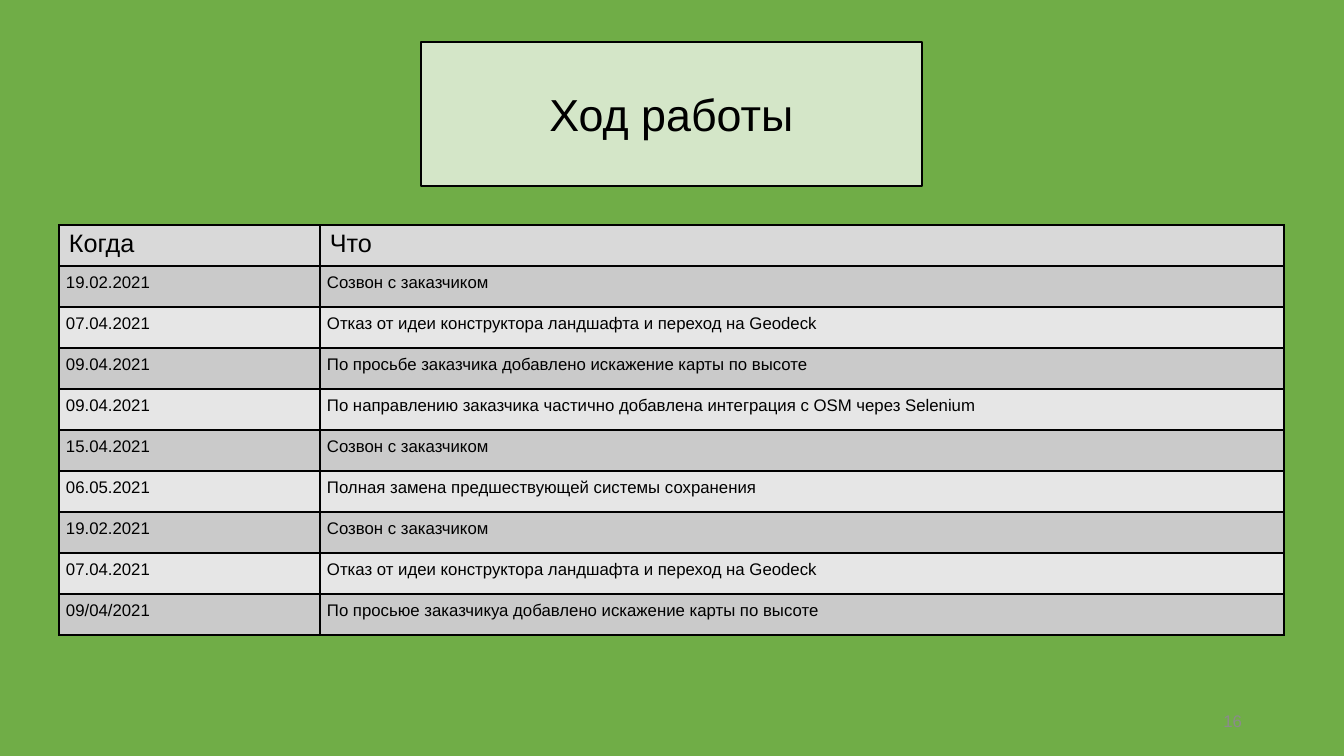
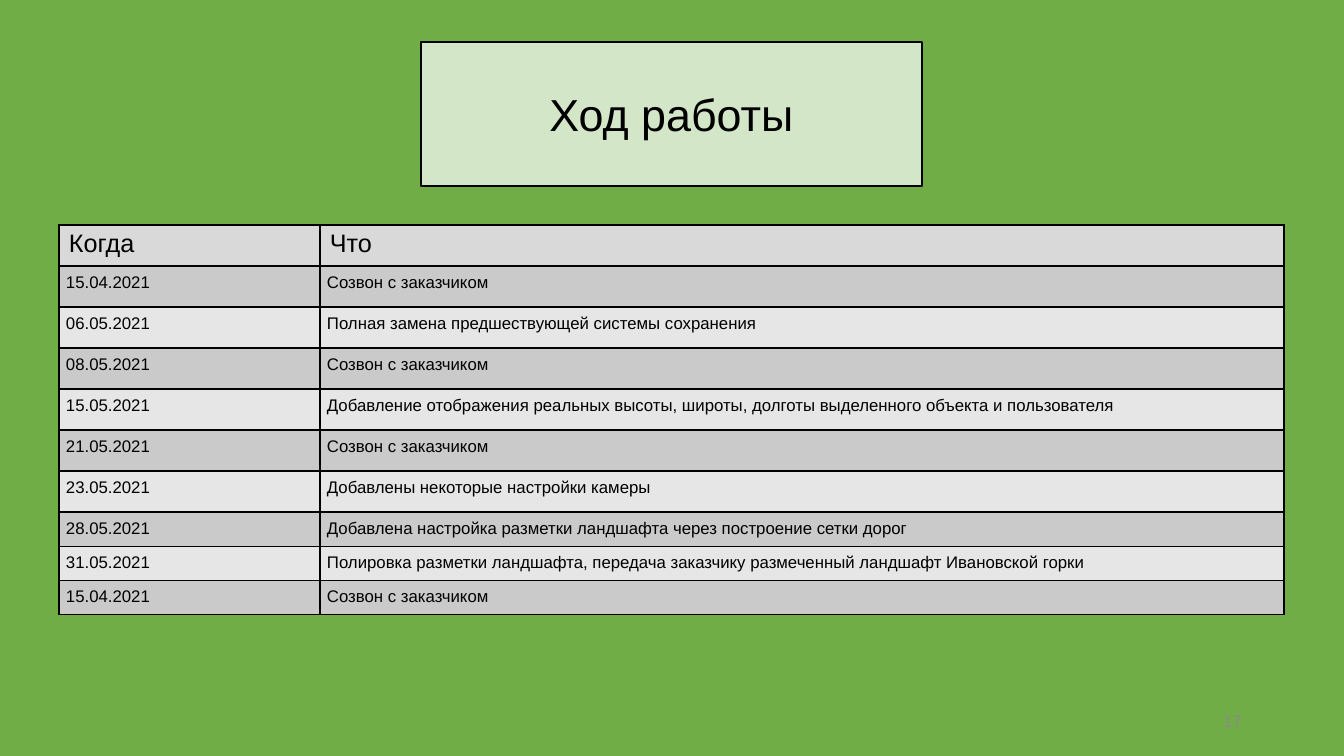
from dataclasses import dataclass
from typing import NamedTuple

from lxml import etree
from pptx import Presentation
from pptx.dml.color import RGBColor
from pptx.enum.shapes import MSO_SHAPE
from pptx.enum.text import MSO_ANCHOR, PP_ALIGN
from pptx.oxml.ns import qn
from pptx.util import Emu, Pt

RECTANGLE = MSO_SHAPE.RECTANGLE
MIDDLE = MSO_ANCHOR.MIDDLE
LEFT, CENTER, RIGHT, JUSTIFY = PP_ALIGN.LEFT, PP_ALIGN.CENTER, PP_ALIGN.RIGHT, PP_ALIGN.JUSTIFY

SLIDE_WIDTH, SLIDE_HEIGHT = 1344, 756
EMU_PER_PX = 12192000 / SLIDE_WIDTH


@dataclass(frozen=True)
class Theme:
    font: str = "Arial"
    background: str = "70AD47"
    ink: str = "000000"
    title_fill: str = "FFFFFF"
    title_opacity: int = 70
    header_fill: str = "D9D9D9"
    row_fills: tuple[str, str] = ("CACACA", "E6E6E6")
    page_number: str = "8B8B8B"
    title_size: int = 32
    header_size: int = 18
    body_size: int = 12
    line_width: int = 1
    row_space_after: int = 10


class Box(NamedTuple):
    left: int
    top: int
    width: int
    height: int


class TextStyle(NamedTuple):
    size: int
    color: str
    align: PP_ALIGN
    space_after: int = 0


class CellStyle(NamedTuple):
    text: TextStyle
    side_inset: int
    edge_inset: int


class Entry(NamedTuple):
    date: str
    event: str


class WorkLog(NamedTuple):
    page: int
    entries: list[Entry]
    compact_rows: int = 0


THEME = Theme()
TITLE_STYLE = TextStyle(THEME.title_size, THEME.ink, CENTER)
PAGE_STYLE = TextStyle(THEME.body_size, THEME.page_number, RIGHT)
HEADER_CELL = CellStyle(TextStyle(THEME.header_size, THEME.ink, LEFT), 10, 5)
BODY_CELL = CellStyle(
    TextStyle(THEME.body_size, THEME.ink, JUSTIFY, THEME.row_space_after), 7, 7
)

TITLE = "Ход работы"
HEADER = Entry("Когда", "Что")
TITLE_BOX = Box(421, 42, 501, 144)
PAGE_BOX = Box(950, 701, 302, 40)
TABLE_LEFT, TABLE_TOP = 59, 225
COLUMN_WIDTHS = (261, 964)
ROW_HEIGHT, COMPACT_ROW_HEIGHT = 41, 33

CALL = "Созвон с заказчиком"
MAP_SWITCH = "Отказ от идеи конструктора ландшафта и переход на Geodeck"
SAVE_REWORK = "Полная замена предшествующей системы сохранения"

WORK_LOGS = [
    WorkLog(16, [
        Entry("19.02.2021", CALL),
        Entry("07.04.2021", MAP_SWITCH),
        Entry("09.04.2021", "По просьбе заказчика добавлено искажение карты по высоте"),
        Entry("09.04.2021", "По направлению заказчика частично добавлена интеграция с OSM через Selenium"),
        Entry("15.04.2021", CALL),
        Entry("06.05.2021", SAVE_REWORK),
        Entry("19.02.2021", CALL),
        Entry("07.04.2021", MAP_SWITCH),
        Entry("09/04/2021", "По просьюе заказчикуа добавлено искажение карты по высоте"),
    ]),
    WorkLog(17, [
        Entry("15.04.2021", CALL),
        Entry("06.05.2021", SAVE_REWORK),
        Entry("08.05.2021", CALL),
        Entry("15.05.2021", "Добавление отображения реальных высоты, широты, долготы выделенного объекта и пользователя"),
        Entry("21.05.2021", CALL),
        Entry("23.05.2021", "Добавлены некоторые настройки камеры"),
        Entry("28.05.2021", "Добавлена настройка разметки ландшафта через построение сетки дорог"),
        Entry("31.05.2021", "Полировка разметки ландшафта, передача заказчику размеченный ландшафт Ивановской горки"),
        Entry("15.04.2021", CALL),
    ], compact_rows=3),
]


def px(length: int) -> Emu:
    return Emu(round(length * EMU_PER_PX))


def rgb(color: str) -> RGBColor:
    return RGBColor.from_string(color)


def place(box: Box) -> list[Emu]:
    return [px(length) for length in box]


def paint(fill, color: str) -> None:
    fill.solid()
    fill.fore_color.rgb = rgb(color)


def write(frame, text: str, style: TextStyle) -> None:
    frame.word_wrap = True
    paragraph = frame.paragraphs[0]
    paragraph.text = text
    paragraph.alignment = style.align
    if style.space_after:
        paragraph.space_after = Pt(style.space_after)
    paragraph.font.name = THEME.font
    paragraph.font.size = Pt(style.size)
    paragraph.font.color.rgb = rgb(style.color)


def draw_title(slide) -> None:
    title = slide.shapes.add_shape(RECTANGLE, *place(TITLE_BOX))
    title.shadow.inherit = False
    paint(title.fill, THEME.title_fill)
    tint = title.element.spPr.find(f"{qn('a:solidFill')}/{qn('a:srgbClr')}")
    etree.SubElement(tint, qn("a:alpha"), val=str(THEME.title_opacity * 1000))
    title.line.color.rgb = rgb(THEME.ink)
    title.line.width = Pt(THEME.line_width)
    title.text_frame.vertical_anchor = MIDDLE
    write(title.text_frame, TITLE, TITLE_STYLE)


def draw_page_number(slide, page: int) -> None:
    frame = slide.shapes.add_textbox(*place(PAGE_BOX)).text_frame
    frame.vertical_anchor = MIDDLE
    write(frame, str(page), PAGE_STYLE)


def add_borders(cell) -> None:
    properties = cell._tc.get_or_add_tcPr()
    for side in ("lnL", "lnR", "lnT", "lnB"):
        border = etree.SubElement(properties, qn(f"a:{side}"), w=str(Pt(THEME.line_width)))
        fill = etree.SubElement(border, qn("a:solidFill"))
        etree.SubElement(fill, qn("a:srgbClr"), val=THEME.ink)


def fill_cell(cell, text: str, style: CellStyle, background: str) -> None:
    cell.margin_left = cell.margin_right = px(style.side_inset)
    cell.margin_top = cell.margin_bottom = px(style.edge_inset)
    add_borders(cell)
    paint(cell.fill, background)
    write(cell.text_frame, text, style.text)


def draw_work_log(slide, log: WorkLog) -> None:
    entries = [HEADER, *log.entries]
    full_rows = len(entries) - log.compact_rows
    heights = [ROW_HEIGHT] * full_rows + [COMPACT_ROW_HEIGHT] * log.compact_rows
    box = Box(TABLE_LEFT, TABLE_TOP, sum(COLUMN_WIDTHS), sum(heights))
    table = slide.shapes.add_table(len(entries), len(COLUMN_WIDTHS), *place(box)).table
    table.first_row = table.horz_banding = False
    for column, width in zip(table.columns, COLUMN_WIDTHS):
        column.width = px(width)
    for index, (row, entry, height) in enumerate(zip(table.rows, entries, heights)):
        row.height = px(height)
        style = BODY_CELL if index else HEADER_CELL
        background = THEME.row_fills[(index - 1) % 2] if index else THEME.header_fill
        for cell, text in zip(row.cells, entry):
            fill_cell(cell, text, style, background)


def main() -> None:
    deck = Presentation()
    deck.slide_width, deck.slide_height = px(SLIDE_WIDTH), px(SLIDE_HEIGHT)
    blank = deck.slide_layouts[6]
    paint(deck.slide_master.background.fill, THEME.background)
    for log in WORK_LOGS:
        slide = deck.slides.add_slide(blank)
        draw_title(slide)
        draw_work_log(slide, log)
        draw_page_number(slide, log.page)
    deck.save("out.pptx")


if __name__ == "__main__":
    main()
